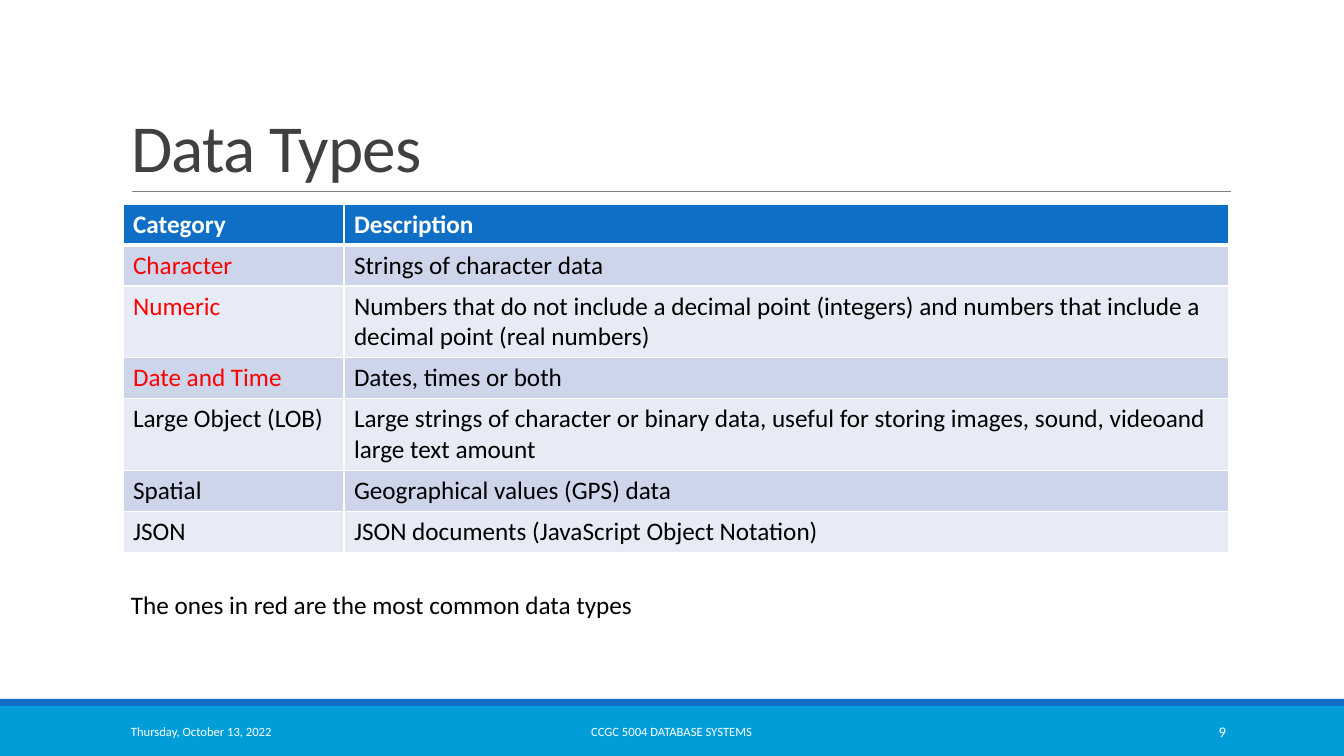
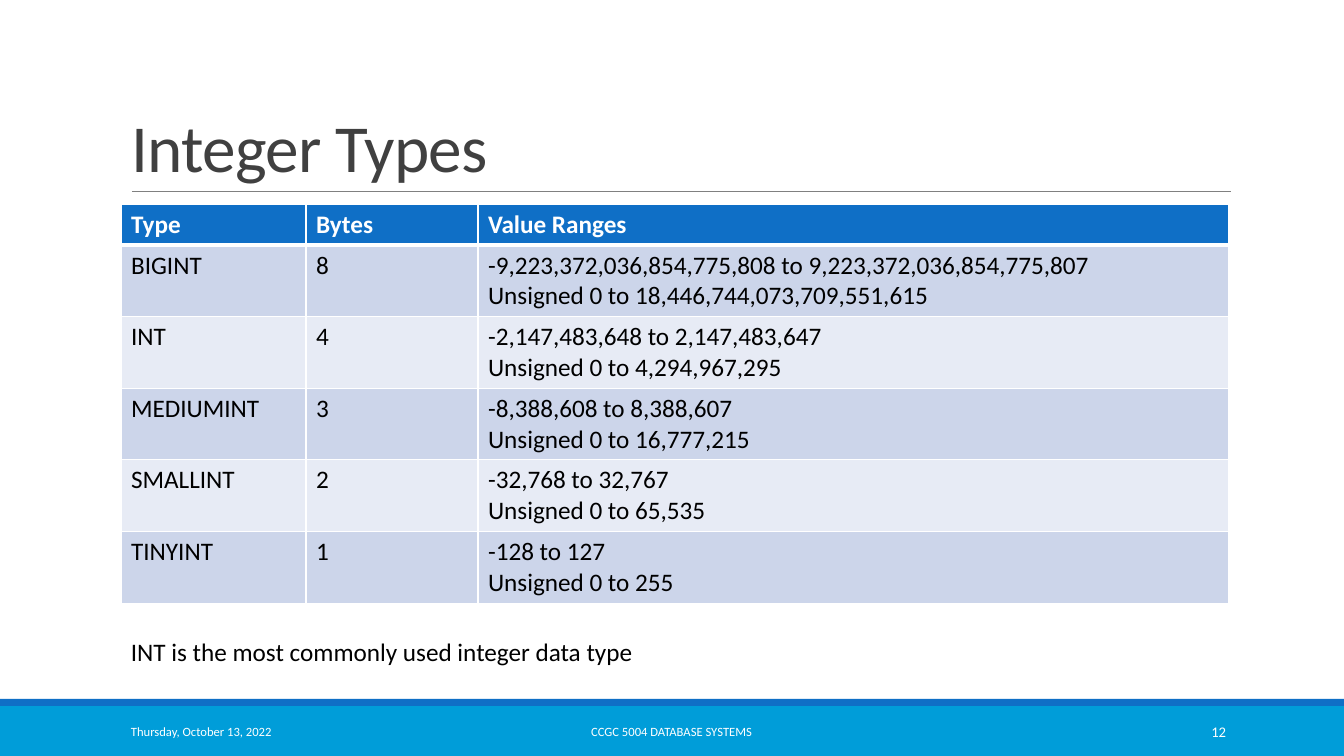
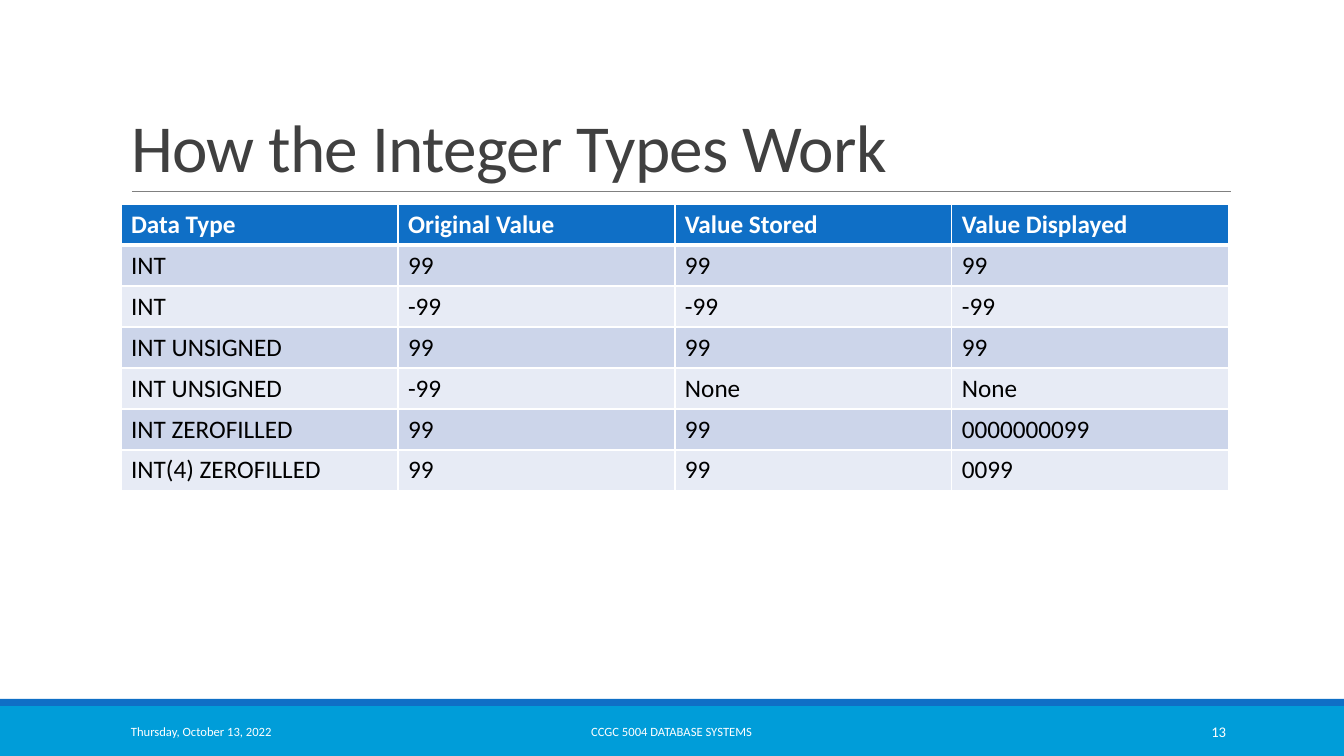
from dataclasses import dataclass

from lxml import etree
from pptx import Presentation
from pptx.dml.color import RGBColor
from pptx.enum.shapes import MSO_CONNECTOR, MSO_SHAPE
from pptx.enum.text import MSO_ANCHOR, MSO_AUTO_SIZE, PP_ALIGN
from pptx.oxml.ns import qn
from pptx.util import Emu, Pt

LEFT, MID, RIGHT = PP_ALIGN.LEFT, PP_ALIGN.CENTER, PP_ALIGN.RIGHT
TOP, CENTER, BOTTOM = MSO_ANCHOR.TOP, MSO_ANCHOR.MIDDLE, MSO_ANCHOR.BOTTOM
FIXED = MSO_AUTO_SIZE.NONE
RECT, LINE = MSO_SHAPE.RECTANGLE, MSO_CONNECTOR.STRAIGHT

DATE = "Thursday, October 13, 2022"
COURSE = "CCGC 5004 DATABASE SYSTEMS"

SHORT, TALL = 41, 71

SLIDES = [
    {
        "title": "Data Types",
        "page": "9",
        "left": 123,
        "cols": [221, 885],
        "high": [SHORT, SHORT, TALL, SHORT, TALL, SHORT, SHORT],
        "rows": [
            ("Category", "Description"),
            ("Character", "Strings of character data"),
            ("Numeric", "Numbers that do not include a decimal point (integers) "
                        "and numbers that include a decimal point (real numbers)"),
            ("Date and Time", "Dates, times or both"),
            ("Large Object (LOB)", "Large strings of character or binary data, useful for "
                                   "storing images, sound, videoand large text amount"),
            ("Spatial", "Geographical values (GPS) data"),
            ("JSON", "JSON documents (JavaScript Object Notation)"),
        ],
        "common": {"Character", "Numeric", "Date and Time"},
        "note": ("The ones in red are the most common data types", 584),
    },
    {
        "title": "Integer Types",
        "page": "12",
        "left": 121,
        "cols": [185, 172, 751],
        "high": [SHORT] + [TALL] * 5,
        "rows": [
            ("Type", "Bytes", "Value Ranges"),
            ("BIGINT", "8", "-9,223,372,036,854,775,808 to 9,223,372,036,854,775,807\n"
                            "Unsigned 0 to 18,446,744,073,709,551,615"),
            ("INT", "4", "-2,147,483,648 to 2,147,483,647\nUnsigned 0 to 4,294,967,295"),
            ("MEDIUMINT", "3", "-8,388,608 to 8,388,607\nUnsigned 0 to 16,777,215"),
            ("SMALLINT", "2", "-32,768 to 32,767\nUnsigned 0 to 65,535"),
            ("TINYINT", "1", "-128 to 127\nUnsigned 0 to 255"),
        ],
        "note": ("INT is the most commonly used integer data type", 631),
    },
    {
        "title": "How the Integer Types Work",
        "page": "13",
        "left": 121,
        "cols": [277] * 4,
        "high": [SHORT] * 7,
        "rows": [
            ("Data Type", "Original Value", "Value Stored", "Value Displayed"),
            ("INT", "99", "99", "99"),
            ("INT", "-99", "-99", "-99"),
            ("INT UNSIGNED", "99", "99", "99"),
            ("INT UNSIGNED", "-99", "None", "None"),
            ("INT ZEROFILLED", "99", "99", "0000000099"),
            ("INT(4) ZEROFILLED", "99", "99", "0099"),
        ],
    },
]


@dataclass(frozen=True)
class Theme:
    font: str = "Calibri"
    head: str = "0F6FC6"
    band: str = "009DD9"
    rule: str = "808080"
    title: str = "404040"
    text: str = "000000"
    mark: str = "FF0000"
    white: str = "FFFFFF"
    odd: str = "CCD5EA"
    even: str = "E7EBF5"
    big: float = 48
    body: float = 18
    foot: float = 9
    page: float = 10.5


THEME = Theme()


def px(num):
    return Emu(round(num * 914400 / 100.8))


def box(left, top, width, height):
    return [px(num) for num in (left, top, width, height)]


def rgb(code):
    return RGBColor.from_string(code)


def write(frame, text, size=THEME.body, color=THEME.text, bold=False,
          align=LEFT, anchor=TOP, space=None, track=None):
    frame.word_wrap = True
    frame.auto_size = FIXED
    frame.vertical_anchor = anchor
    fill(frame, text, size, color, bold, align, space, track)


def fill(frame, text, size, color, bold, align, space, track):
    frame.text = text
    for para in frame.paragraphs:
        para.alignment = align
        para.line_spacing = space
        for run in para.runs:
            font = run.font
            font.name, font.size, font.bold = THEME.font, Pt(size), bold
            font.color.rgb = rgb(color)
            if track is not None:
                font._element.set("spc", str(track))


def label(slide, area, text, **style):
    write(slide.shapes.add_textbox(*box(*area)).text_frame, text, **style)


def edge(cell, side, width):
    line = etree.SubElement(cell._tc.get_or_add_tcPr(), qn("a:ln" + side), w=str(Pt(width)))
    solid = etree.SubElement(line, qn("a:solidFill"))
    etree.SubElement(solid, qn("a:srgbClr"), val=THEME.white)


def paint(shape, color):
    shape.fill.solid()
    shape.fill.fore_color.rgb = rgb(color)


def draw_frame(slide, page):
    for top, height, color in ((706, 50, THEME.band), (699, 7, THEME.head)):
        bar = slide.shapes.add_shape(RECT, *box(0, top, 1344, height))
        bar.shadow.inherit = False
        bar.line.fill.background()
        paint(bar, color)
    rule = slide.shapes.add_connector(LINE, *box(132, 191, 1231, 191))
    rule.line.color.rgb = rgb(THEME.rule)
    rule.line.width = Pt(0.5)
    etree.SubElement(rule._element.spPr, qn("a:effectLst"))
    for left, width, text, size, align in (
        (121, 272, DATE, THEME.foot, LEFT),
        (406, 531, COURSE, THEME.foot, MID),
        (1092, 144, page, THEME.page, RIGHT),
    ):
        label(slide, (left, 712, width, 40), text, size=size,
              color=THEME.white, align=align, anchor=CENTER)


def draw_title(slide, text):
    title = slide.shapes.title
    title.left, title.top, title.width, title.height = box(121, 31, 1109, 160)
    write(title.text_frame, text, size=THEME.big, color=THEME.title,
          anchor=BOTTOM, space=0.85, track=-50)


def draw_table(slide, left, cols, high, rows, common):
    area = box(left, 204, sum(cols), sum(high))
    table = slide.shapes.add_table(len(rows), len(cols), *area).table
    table.horz_banding = False
    for col, width in zip(table.columns, cols):
        col.width = px(width)
    for i, (row, height, texts) in enumerate(zip(table.rows, high, rows)):
        row.height = px(height)
        head = i == 0
        back = THEME.head if head else (THEME.even, THEME.odd)[i % 2]
        for cell, text in zip(row.cells, texts):
            for side, width in (("L", 1), ("R", 1), ("T", 3 if i == 1 else 1),
                                ("B", 3 if head else 1)):
                edge(cell, side, width)
            paint(cell, back)
            color = THEME.white if head else THEME.mark if text in common else THEME.text
            fill(cell.text_frame, text, THEME.body, color, head, LEFT, None, None)


def main():
    deck = Presentation()
    deck.slide_width, deck.slide_height = px(1344), px(756)
    for item in SLIDES:
        slide = deck.slides.add_slide(deck.slide_layouts[5])
        draw_frame(slide, item["page"])
        draw_title(slide, item["title"])
        draw_table(slide, item["left"], item["cols"], item["high"],
                   item["rows"], item.get("common", ()))
        if "note" in item:
            text, top = item["note"]
            label(slide, (121, top, 1109, 40), text)
    deck.save("out.pptx")


if __name__ == "__main__":
    main()
